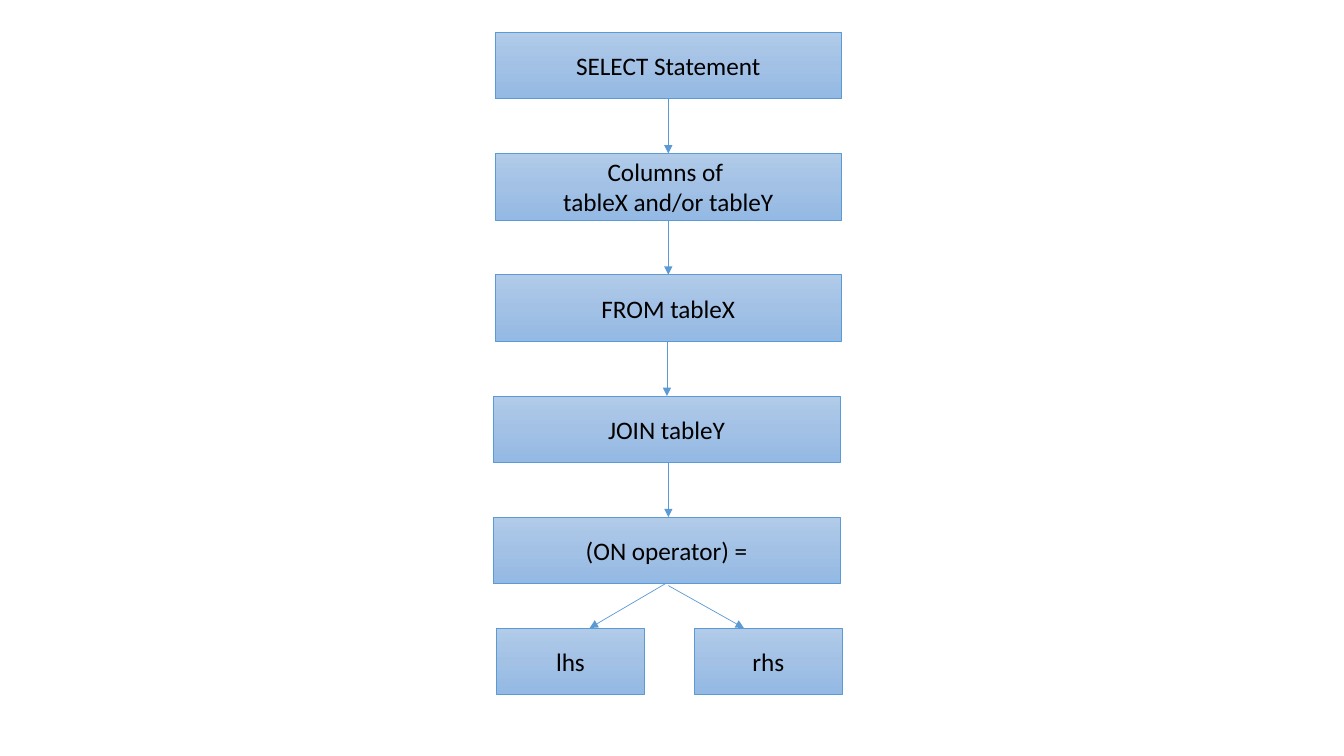
from copy import deepcopy
from dataclasses import dataclass

from lxml import etree
from pptx import Presentation
from pptx.dml.color import RGBColor
from pptx.enum import shapes, text
from pptx.oxml.ns import qn
from pptx.util import Pt

LINE = "5B9BD5"
GRADIENT = ((0, "B1CBE9"), (0.5, "A3C1E5"), (1, "93B9E4"))
TOP, STEP, BOX_H = 23, 86.6, 47.6
STEP_W, OPERAND_W = 247.7, 105.3
AXIS_X, OPERAND_TOP = 477.4, 448.6


@dataclass
class Box:
    """A labelled node, with one label line per paragraph."""
    left: float
    top: float
    width: float
    lines: tuple[str, ...]


@dataclass
class Arrow:
    """A straight arrow between two points."""
    x1: float
    y1: float
    x2: float
    y2: float


def rgb(value: str) -> RGBColor:
    """Turn a hex string into a colour."""
    return RGBColor.from_string(value)


def style_line(line) -> None:
    """Give an outline or arrow the common colour and width."""
    line.color.rgb = rgb(LINE)
    line.width = Pt(0.5)


def fill_gradient(sp) -> None:
    """Fill a shape with the vertical three-stop gradient."""
    sp.fill.gradient()
    sp.fill.gradient_angle = 270
    first = next(sp._element.iter(qn("a:gs")))
    first.addnext(deepcopy(first))
    for stop, (position, colour) in zip(sp.fill.gradient_stops, GRADIENT):
        stop.position = position
        stop.color.rgb = rgb(colour)


def draw_box(s, box: Box) -> None:
    """Draw one node with its centred label."""
    sp = s.shapes.add_shape(shapes.MSO_SHAPE.RECTANGLE, Pt(box.left),
                            Pt(box.top), Pt(box.width), Pt(BOX_H))
    sp.shadow.inherit = False
    fill_gradient(sp)
    style_line(sp.line)
    tf = sp.text_frame
    tf.word_wrap = True
    tf.vertical_anchor = text.MSO_ANCHOR.MIDDLE
    for i, label in enumerate(box.lines):
        p = tf.add_paragraph() if i else tf.paragraphs[0]
        p.alignment = text.PP_ALIGN.CENTER
        r = p.add_run()
        r.text = label
        r.font.name, r.font.size = "Calibri", Pt(18)
        r.font.color.rgb = rgb("000000")


def draw_arrow(s, arrow: Arrow) -> None:
    """Draw one connector with a triangle at its end."""
    cx = s.shapes.add_connector(shapes.MSO_CONNECTOR.STRAIGHT, Pt(arrow.x1),
                                Pt(arrow.y1), Pt(arrow.x2), Pt(arrow.y2))
    style_line(cx.line)
    etree.SubElement(cx.line._get_or_add_ln(), qn("a:tailEnd"), type="triangle")
    etree.SubElement(cx._element.spPr, qn("a:effectLst"))


STEPS = (
    (353.5, ("SELECT Statement",)),
    (353.5, ("Columns of ", "tableX and/or tableY")),
    (353.5, ("FROM tableX",)),
    (352.3, ("JOIN tableY",)),
    (352.3, ("(ON operator) =",)),
)
boxes = [Box(left, TOP + i * STEP, STEP_W, lines)
         for i, (left, lines) in enumerate(STEPS)]
arrows = [Arrow(x, a.top + BOX_H, x, b.top)
          for x, a, b in zip((AXIS_X, AXIS_X, 476.4, AXIS_X), boxes, boxes[1:])]
arrows += [Arrow(475.2, 417, 421.2, OPERAND_TOP),
           Arrow(AXIS_X, 418.3, 531.4, OPERAND_TOP)]
boxes += [Box(354.8, OPERAND_TOP, OPERAND_W, ("lhs",)),
          Box(496.2, OPERAND_TOP, OPERAND_W, ("rhs",))]

prs = Presentation()
prs.slide_width, prs.slide_height = Pt(960), Pt(540)
s = prs.slides.add_slide(prs.slide_layouts[6])
for box in boxes:
    draw_box(s, box)
for arrow in arrows:
    draw_arrow(s, arrow)
prs.save("out.pptx")
